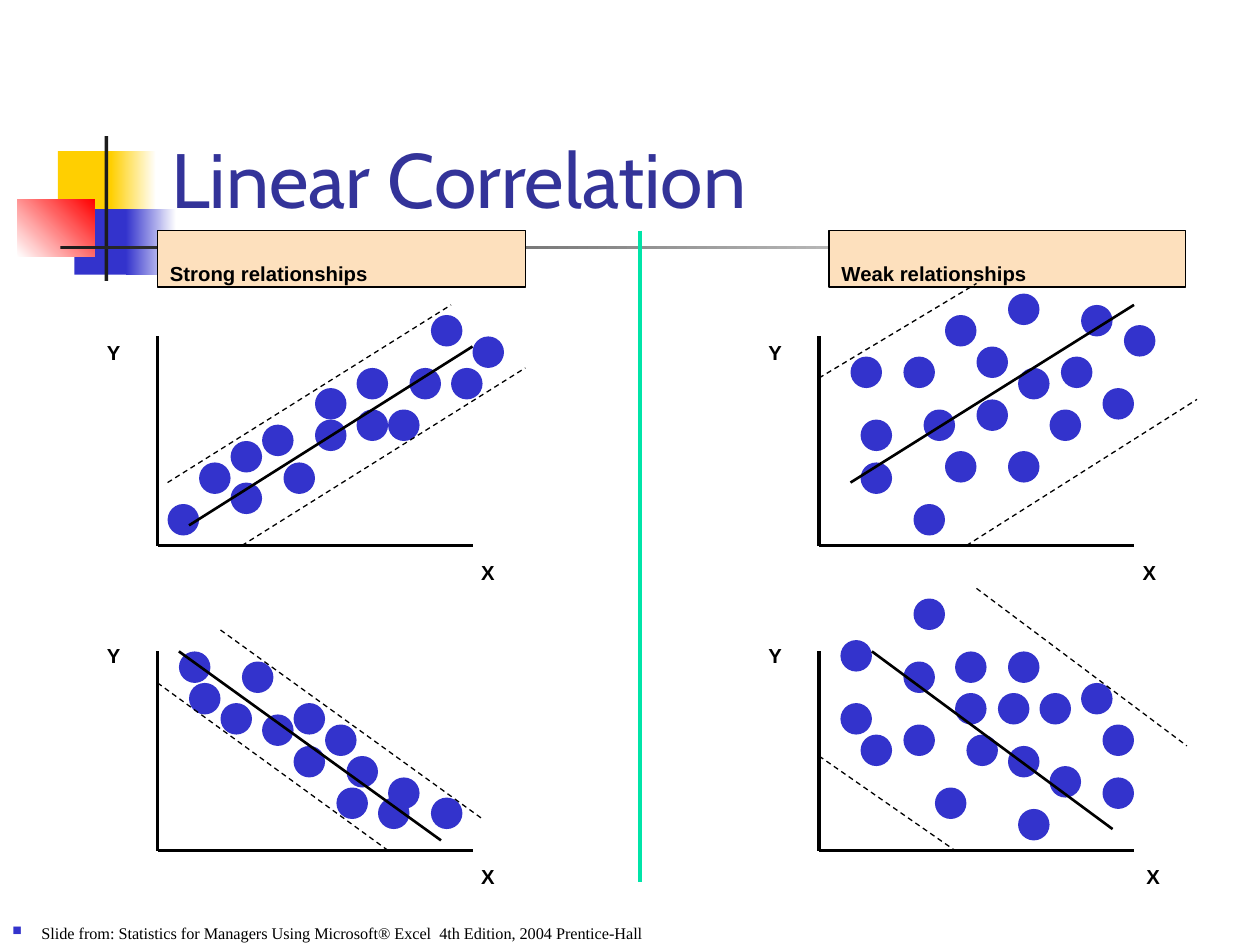
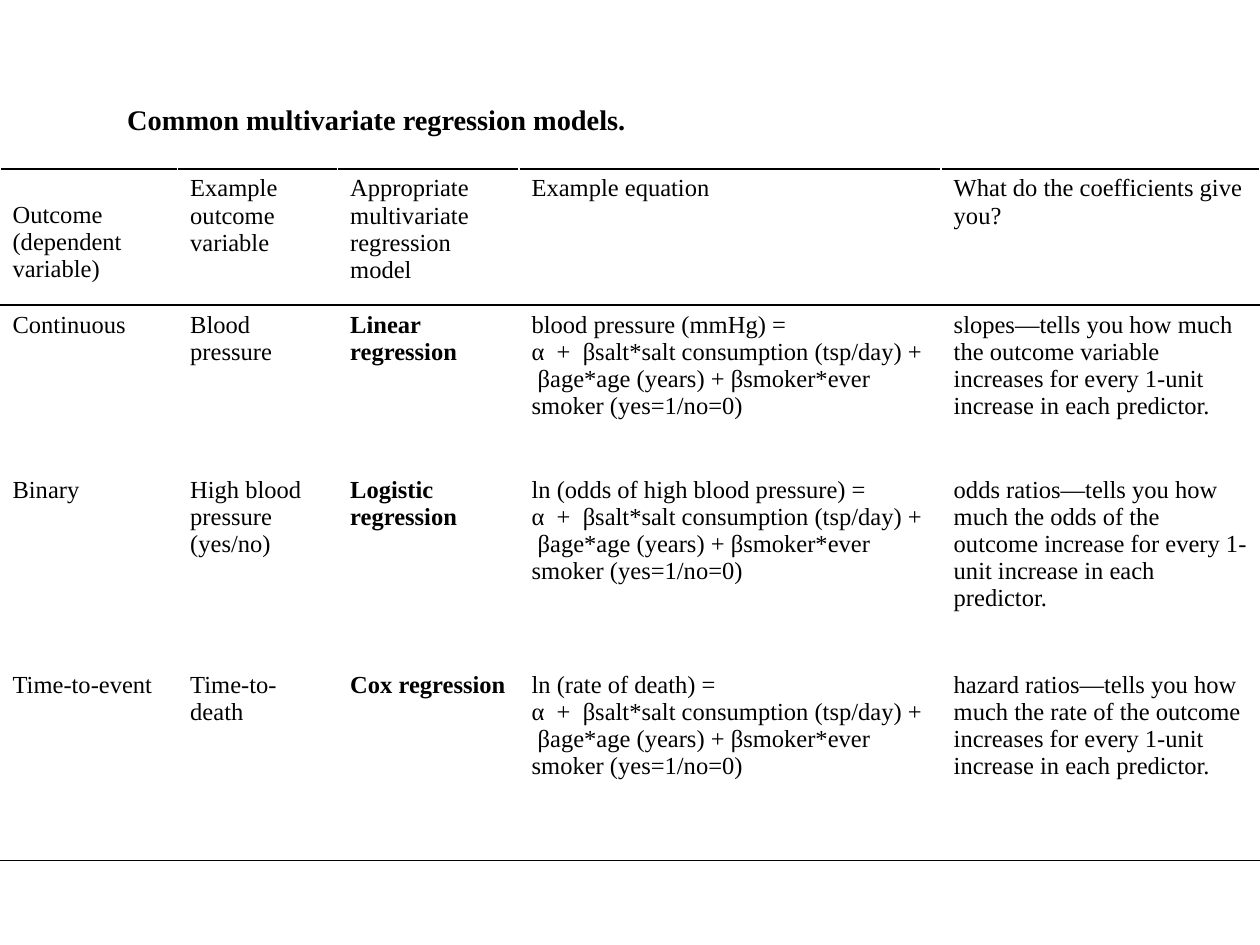
from dataclasses import dataclass

from lxml.etree import SubElement
from pptx import Presentation
from pptx.dml.color import RGBColor
from pptx.enum.dml import MSO_LINE
from pptx.enum.shapes import MSO_CONNECTOR, MSO_SHAPE
from pptx.enum.text import MSO_ANCHOR, MSO_AUTO_SIZE, PP_ALIGN
from pptx.oxml import parse_xml
from pptx.oxml.ns import nsdecls, qn
from pptx.util import Inches, Pt


# Theme
@dataclass(frozen=True)
class Theme:
    black: str = "000000"
    white: str = "FFFFFF"
    blue: str = "3333CC"
    title_blue: str = "333399"
    yellow: str = "FFCF01"
    red: str = "FF0000"
    dark: str = "1C1C1C"
    peach: str = "FDE0BD"
    mint: str = "00E4A8"
    sans: str = "Arial"
    serif: str = "Times New Roman"
    display: str = "Cabin"
    title_size: float = 44
    heading_size: float = 16.2
    table_size: float = 14
    label_size: float = 11.6
    source_size: float = 9.3


T = Theme()

# Content: correlation slide
CORRELATION_TITLE = "Linear Correlation"
SOURCE = ("Slide from: Statistics for Managers Using Microsoft® Excel  "
          "4th Edition, 2004 Prentice-Hall")
HEADERS = [("Strong relationships", (1.25, 1.83, 2.92, 0.45)),
           ("Weak relationships", (6.58, 1.83, 2.83, 0.45))]
DIVIDER = (5.08, 1.83, 5.08, 7)

# Corner ornament: box, then one colour or the two ends of a gradient, angle
ORNAMENT = [
    ((0.46, 1.2, 0.48, 0.52), (T.yellow,), 0),
    ((0.88, 1.2, 0.36, 0.52), (T.yellow, T.white), 0),
    ((0.59, 1.66, 0.46, 0.52), (T.blue,), 0),
    ((1, 1.66, 0.4, 0.52), (T.blue, T.white), 0),
    ((0.14, 1.58, 0.61, 0.46), (T.white, T.red), 45),
    ((0.83, 1.08, 0.03, 1.15), (T.dark,), 0),
    ((0.48, 1.95, 9, 0.03), (T.dark, T.white), 0),
]

# Scatter plots: axes share columns and rows; dots are left/top corners
AXIS_LENGTH = 2.5
DOT_SIZE = 0.25
LABEL_SIZE = (0.39, 0.43)
TOP_ROW = dict(top=2.67, bottom=4.33, y_label=2.47, x_label=4.22)
BOTTOM_ROW = dict(top=5.17, bottom=6.75, y_label=4.88, x_label=6.63)
PLOTS = [
    dict(left=1.25, row=TOP_ROW, x_gap=-0.03, trend=(1.5, 4.17, 3.75, 2.75),
         bands=[(1.33, 3.83, 3.58, 2.42), (1.92, 4.33, 4.17, 2.92)],
         dots=[(1.33, 4), (1.58, 3.67), (3.42, 2.5), (3.58, 2.92), (1.83, 3.83),
               (3.75, 2.67), (2.83, 3.25), (2.83, 2.92), (3.25, 2.92), (2.5, 3.08),
               (1.83, 3.5), (2.08, 3.37), (3.08, 3.25), (2.5, 3.33), (2.25, 3.67)]),
    dict(left=1.25, row=BOTTOM_ROW, x_gap=-0.03, trend=(1.42, 5.17, 3.5, 6.67),
         bands=[(1.75, 5, 3.83, 6.5), (1.25, 5.42, 3.08, 6.75)],
         dots=[(3, 6.33), (1.5, 5.42), (3.42, 6.33), (1.92, 5.25), (2.75, 6),
               (3.08, 6.17), (2.33, 5.58), (1.42, 5.17), (1.75, 5.58), (2.08, 5.67),
               (2.67, 6.25), (2.58, 5.75), (2.33, 5.92)]),
    dict(left=6.5, row=TOP_ROW, x_gap=-0.03, trend=(6.75, 3.83, 9, 2.42),
         bands=[(6.5, 3, 7.75, 2.25), (7.67, 4.33, 9.5, 3.17)],
         dots=[(7.75, 2.75), (6.83, 3.67), (8, 3.58), (8.42, 2.83), (7.17, 2.83),
               (7.25, 4), (7.5, 3.58), (8.08, 2.92), (7.5, 2.5), (6.83, 3.33),
               (6.75, 2.83), (7.33, 3.25), (8.33, 3.25), (7.75, 3.17), (8, 2.33),
               (8.92, 2.58), (8.75, 3.08), (8.58, 2.42)]),
    dict(left=6.5, row=BOTTOM_ROW, x_gap=0, trend=(6.92, 5.17, 8.83, 6.58),
         bands=[(7.75, 4.67, 9.42, 5.92), (6.5, 6, 7.58, 6.75)],
         dots=[(6.67, 5.58), (6.67, 5.08), (7.17, 5.75), (8.08, 6.42), (6.83, 5.83),
               (7.58, 5.17), (8, 5.92), (7.92, 5.5), (7.58, 5.5), (7.17, 5.25),
               (8.25, 5.5), (7.67, 5.83), (7.42, 6.25), (8.33, 6.08), (8.75, 5.75),
               (8.58, 5.42), (8.75, 6.17), (8, 5.17), (7.25, 4.75)]),
]

# Content: regression models slide
MODELS_TITLE = "Common multivariate regression models."
PREDICTORS = ("α  +  βsalt*salt consumption (tsp/day) +  βage*age (years) + "
              "βsmoker*ever smoker (yes=1/no=0)")
MODELS = [
    ["Outcome (dependent variable)", "Example outcome variable",
     "Appropriate multivariate regression model", "Example equation",
     "What do the coefficients give you?"],
    ["Continuous", "Blood pressure", "Linear regression",
     "blood pressure (mmHg) =\n" + PREDICTORS,
     "slopes—tells you how much the outcome variable increases for every "
     "1-unit increase in each predictor."],
    ["Binary", "High blood pressure (yes/no)", "Logistic regression",
     "ln (odds of high blood pressure) =\n" + PREDICTORS,
     "odds ratios—tells you how much the odds of the outcome increase for every "
     "1-unit increase in each predictor."],
    ["Time-to-event", "Time-to- death", "Cox regression",
     "ln (rate of death) =\n" + PREDICTORS,
     "hazard ratios—tells you how much the rate of the outcome increases for every "
     "1-unit increase in each predictor."],
]
COLUMN_WIDTHS = [1.41, 1.27, 1.44, 3.35, 2.53]
ROW_HEIGHTS = [1.08, 1.31, 1.55, 1.55]
MODEL_COLUMN = 2


# Shared helpers
def rgb(value):
    return RGBColor.from_string(value)


def inches(values):
    return [Inches(v) for v in values]


def style_text(tf, font, size, color=T.black, bold=False):
    for p in tf.paragraphs:
        p.alignment = PP_ALIGN.LEFT
        for r in p.runs:
            r.font.name = font
            r.font.size = Pt(size)
            r.font.bold = bold
            r.font.color.rgb = rgb(color)


def fill_frame(sp, text, bottom_inset=0.01):
    tf = sp.text_frame
    tf.text = text
    tf.word_wrap = True
    tf.auto_size = MSO_AUTO_SIZE.NONE
    tf.vertical_anchor = MSO_ANCHOR.BOTTOM
    tf.margin_left = tf.margin_right = Inches(0.1)
    tf.margin_top = Inches(0.05)
    tf.margin_bottom = Inches(bottom_inset)
    return tf


def set_title(s, text, box, font, size, color, bold, bottom_inset):
    sp = s.shapes.title
    sp.left, sp.top, sp.width, sp.height = inches(box)
    tf = fill_frame(sp, text, bottom_inset)
    style_text(tf, font, size, color, bold)


def add_filled(s, kind, box, colors, angle=0):
    sp = s.shapes.add_shape(kind, *inches(box))
    sp.shadow.inherit = False
    sp.line.fill.background()
    if len(colors) == 1:
        sp.fill.solid()
        sp.fill.fore_color.rgb = rgb(colors[0])
    else:
        sp.fill.gradient()
        sp.fill.gradient_angle = angle
        for stop, color in zip(sp.fill.gradient_stops, colors):
            stop.color.rgb = rgb(color)
    return sp


def add_line(s, ends, width, color=T.black, dashed=False):
    line = s.shapes.add_connector(MSO_CONNECTOR.STRAIGHT, *inches(ends))
    line.line.color.rgb = rgb(color)
    line.line.width = Pt(width)
    if dashed:
        line.line.dash_style = MSO_LINE.DASH
    SubElement(line._element.spPr, qn("a:effectLst"))


def add_label(s, text, left, top):
    sp = s.shapes.add_textbox(*inches((left, top, *LABEL_SIZE)))
    style_text(fill_frame(sp, text), T.sans, T.label_size, bold=True)


# Scatter plot parts
def add_plot(s, plot):
    left, row = plot["left"], plot["row"]
    right = left + AXIS_LENGTH
    add_line(s, (left, row["top"], left, row["bottom"]), 2)
    add_line(s, (left, row["bottom"], right, row["bottom"]), 2)
    for x, y in plot["dots"]:
        add_filled(s, MSO_SHAPE.OVAL, (x, y, DOT_SIZE, DOT_SIZE), (T.blue,))
    add_label(s, "Y", left - 0.5, row["y_label"])
    add_label(s, "X", right + plot["x_gap"], row["x_label"])


def add_source(s):
    sp = s.shapes.add_textbox(*inches((0, 7.12, 8.59, 0.37)))
    tf = fill_frame(sp, SOURCE)
    pPr = tf.paragraphs[0]._p.get_or_add_pPr()
    pPr.set("marL", str(Inches(0.23)))
    pPr.set("indent", str(-Inches(0.23)))
    color = SubElement(pPr, qn("a:buClr"))
    SubElement(color, qn("a:srgbClr")).set("val", T.blue)
    SubElement(pPr, qn("a:buSzPct")).set("val", "80000")
    SubElement(pPr, qn("a:buChar")).set("char", "■")
    style_text(tf, T.serif, T.source_size)


def build_correlation(prs):
    s = prs.slides.add_slide(prs.slide_layouts[5])
    for box, colors, angle in ORNAMENT:
        add_filled(s, MSO_SHAPE.RECTANGLE, box, colors, angle)
    for plot in PLOTS:
        add_plot(s, plot)
    for text, box in HEADERS:
        sp = add_filled(s, MSO_SHAPE.RECTANGLE, box, (T.peach,))
        sp.line.color.rgb = rgb(T.black)
        sp.line.width = Pt(1)
        style_text(fill_frame(sp, text), T.sans, T.label_size, bold=True)
    add_line(s, DIVIDER, 2.25, T.mint)
    for plot in PLOTS:
        for band in plot["bands"]:
            add_line(s, band, 0.75, dashed=True)
        add_line(s, plot["trend"], 1.5)
    set_title(s, CORRELATION_TITLE, (1.26, 0.23, 8.52, 1.6), T.display,
              T.title_size, T.title_blue, False, 0.05)
    s.shapes._spTree.append(s.shapes.title._element)  # title above the ornament
    add_source(s)


# Regression table
def add_rules(cell, sides):
    tcPr = cell._tc.get_or_add_tcPr()
    for i, side in enumerate(sides):
        tcPr.insert(i, parse_xml(
            f'<a:ln{side} {nsdecls("a")} w="{Pt(1)}"><a:solidFill>'
            f'<a:srgbClr val="{T.black}"/></a:solidFill></a:ln{side}>'))


def build_models(prs):
    s = prs.slides.add_slide(prs.slide_layouts[5])
    set_title(s, MODELS_TITLE, (0.91, 0.52, 7.11, 0.57), T.serif,
              T.heading_size, T.black, True, 0.01)
    box = (0, 1.34, sum(COLUMN_WIDTHS), sum(ROW_HEIGHTS))
    table = s.shapes.add_table(len(MODELS), len(COLUMN_WIDTHS), *inches(box)).table
    table.first_row = table.horz_banding = False
    for column, width in zip(table.columns, COLUMN_WIDTHS):
        column.width = Inches(width)
    rules = {0: "TB", 1: "T", len(MODELS) - 1: "B"}
    for i, (row, height) in enumerate(zip(MODELS, ROW_HEIGHTS)):
        table.rows[i].height = Inches(height)
        for j, text in enumerate(row):
            cell = table.cell(i, j)
            cell.text_frame.text = text
            cell.fill.background()
            style_text(cell.text_frame, T.serif, T.table_size,
                       bold=i > 0 and j == MODEL_COLUMN)
            add_rules(cell, rules.get(i, ""))
    table.cell(0, 0).margin_top = Inches(0.26)  # first heading sits one line lower


def main():
    prs = Presentation()
    prs.slide_width, prs.slide_height = Inches(10), Inches(7.5)
    build_correlation(prs)
    build_models(prs)
    prs.save("out.pptx")


if __name__ == "__main__":
    main()
